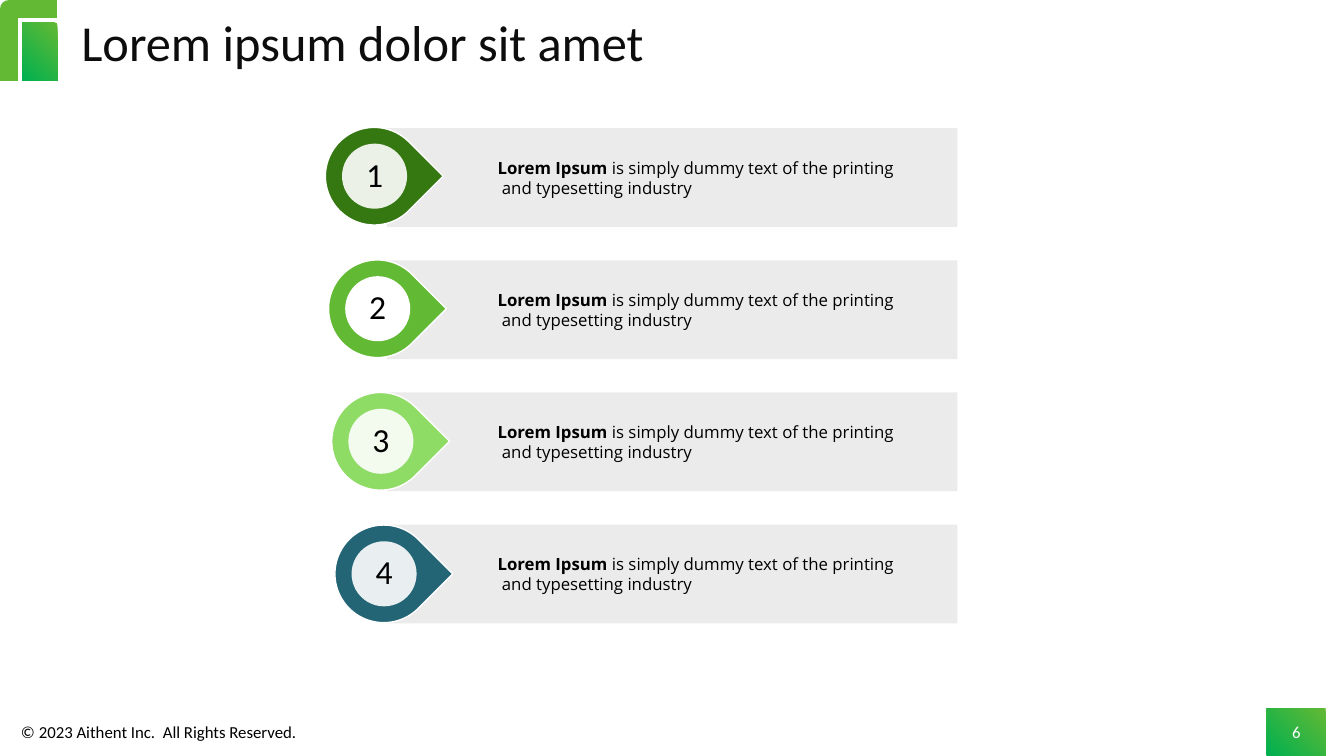
"""Builds a slide with four numbered markers, each beside a grey text bar."""
from lxml import etree
from pptx import Presentation
from pptx.dml.color import RGBColor
from pptx.enum.shapes import MSO_SHAPE
from pptx.enum.text import MSO_ANCHOR, PP_ALIGN
from pptx.oxml.ns import qn
from pptx.util import Cm, Pt

RECT, OVAL, TEARDROP = MSO_SHAPE.RECTANGLE, MSO_SHAPE.OVAL, MSO_SHAPE.TEAR
MIDDLE = MSO_ANCHOR.MIDDLE
LEFT, CENTER = PP_ALIGN.LEFT, PP_ALIGN.CENTER
COLORS = {
    "black": "000000", "title": "0D0D0D", "white": "FFFFFF", "bar": "D9D9D9",
    "leaf": "63B934", "emerald": "00B050",
    "forest": "357811", "grass": "62B934", "lime": "8EDC65", "teal": "236575",
}


def add_block(kind, left, top, width, height, color=None, opacity=100):
    """Add a borderless shape, or a text box when kind is None, centred vertically."""
    box = [Cm(length) for length in (left, top, width, height)]
    if kind is None:
        block = slide.shapes.add_textbox(*box)
    else:
        block = slide.shapes.add_shape(kind, *box)
        block.shadow.inherit = False
        block.line.fill.background()
    if color:
        block.fill.solid()
        block.fill.fore_color.rgb = RGBColor.from_string(COLORS[color])
        if opacity < 100:
            tint = block._element.spPr.find(".//" + qn("a:srgbClr"))
            etree.SubElement(tint, qn("a:alpha"), val=str(opacity * 1000))
    block.text_frame.vertical_anchor = MIDDLE
    return block


def style(paragraph, size, color="black", font="Calibri", align=LEFT):
    """Set the alignment and font of a paragraph."""
    paragraph.alignment = align
    paragraph.font.size = Pt(size)
    paragraph.font.name = font
    paragraph.font.color.rgb = RGBColor.from_string(COLORS[color])


prs = Presentation()
prs.slide_width, prs.slide_height = Cm(33.87), Cm(19.05)
slide = prs.slides.add_slide(prs.slide_layouts[6])

page_tile = add_block(RECT, 31.93, 17.85, 1.48, 1.18)
corner_tile = add_block(RECT, 0.56, 0.58, 0.89, 1.45)
for tile in (page_tile, corner_tile):
    tile.fill.gradient()
    tile.fill.gradient_angle = 225
    for stop, position, shade in zip(tile.fill.gradient_stops, (0, 1), ("leaf", "emerald")):
        stop.position = position
        stop.color.rgb = RGBColor.from_string(COLORS[shade])

corner_path = slide.shapes.build_freeform(Cm(0.23), Cm(2.03))
corner_path.add_line_segments([(Cm(0.23), Cm(0.23)), (Cm(1.45), Cm(0.23))], close=False)
corner_band = corner_path.convert_to_shape()
corner_band.shadow.inherit = False
corner_band.fill.background()
corner_band.line.width = Pt(13)
corner_band.line.color.rgb = RGBColor.from_string(COLORS["leaf"])

title = add_block(None, 1.8, 0.23, 28.78, 1.8).text_frame
title.word_wrap = True
title.text = "Lorem ipsum dolor sit amet"
title.paragraphs[0].line_spacing = 0.9
style(title.paragraphs[0], 36, "title")

copyright_line = add_block(None, 0.53, 17.98, 8.1, 0.91).text_frame
copyright_line.text = "© 2023 Aithent Inc.  All Rights Reserved."
style(copyright_line.paragraphs[0], 12)

page_number = page_tile.text_frame
page_number.text = "6"
style(page_number.paragraphs[0], 12, "white", align=CENTER)

markers = [("forest", 90), ("grass", 100), ("lime", 90), ("teal", 90)]
labels = [copyright_line, page_number]
for row, (color, opacity) in enumerate(markers):
    bar = add_block(RECT, 9.75, 3.23 + 3.33 * row, 14.38, 2.49, "bar", 50).text_frame
    bar.word_wrap = True
    opening, closing = bar.paragraphs[0], bar.add_paragraph()
    for paragraph, indent in ((opening, 2.54), (closing, 2.65)):
        paragraph._p.get_or_add_pPr().set("marL", str(Cm(indent)))
        style(paragraph, 12, font="Open Sans")
    lead = opening.add_run()
    lead.text = "Lorem Ipsum"
    lead.font.bold = True
    opening.add_run().text = " is simply dummy text of the printing"
    closing.text = "and typesetting industry"

    drop_left, drop_top = 8.2 + 0.08 * row, 3.21 + 3.34 * row
    drop = add_block(TEARDROP, drop_left, drop_top, 2.46, 2.46, color)
    drop.rotation = 45
    drop.line.width = Pt(1)
    drop.line.color.rgb = RGBColor.from_string(COLORS["white"])

    disc = add_block(OVAL, drop_left + 0.42, drop_top + 0.41, 1.64, 1.64, "white", opacity)
    number = disc.text_frame
    number.text = str(row + 1)
    number.paragraphs[0].line_spacing = 0.9
    style(number.paragraphs[0], 24, align=CENTER)
    labels.append(number)

for label in labels:
    label.word_wrap = False
    label.margin_left = label.margin_right = label.margin_top = label.margin_bottom = 0

prs.save("out.pptx")
